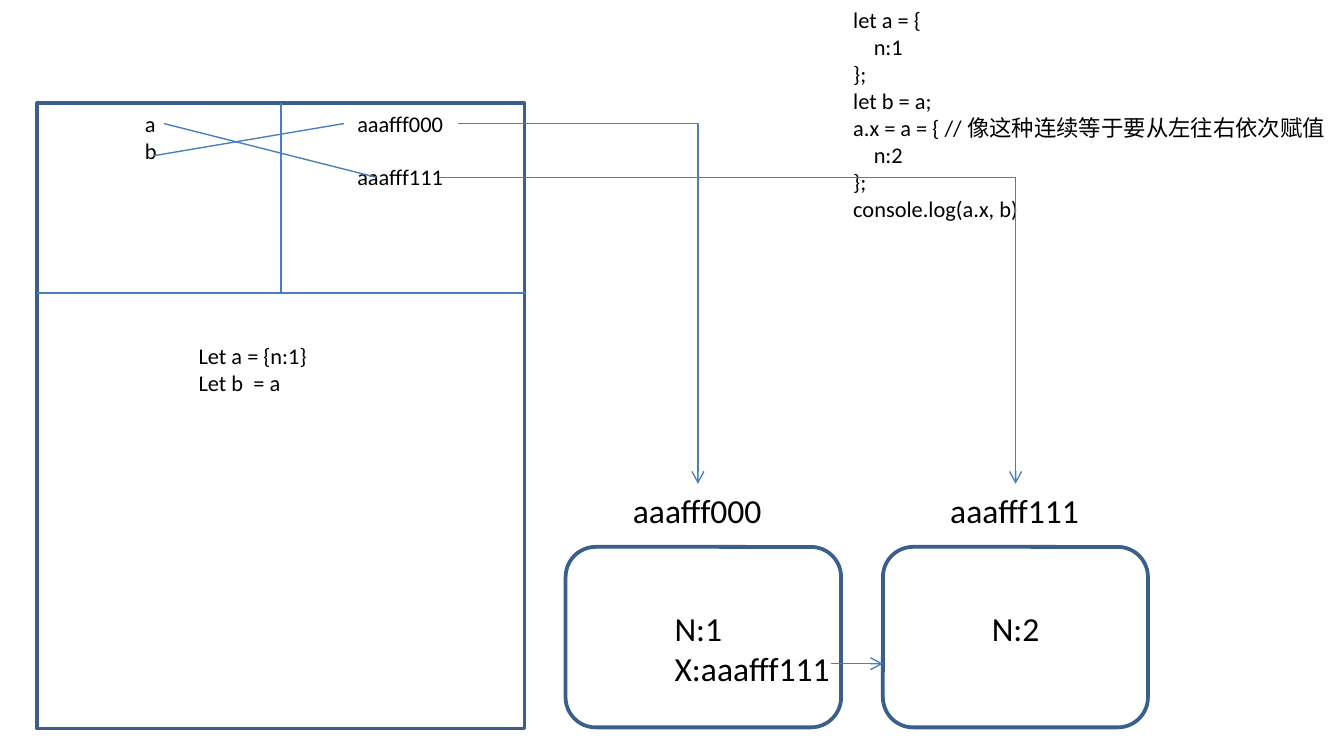
"""Build a slide on how chained assignment moves object references in memory."""
from lxml import etree
from pptx import Presentation
from pptx.dml.color import RGBColor
from pptx.enum.shapes import MSO_CONNECTOR, MSO_SHAPE
from pptx.enum.text import MSO_AUTO_SIZE
from pptx.oxml.ns import qn
from pptx.util import Pt

THEME = {
    "font": "Calibri",
    "text": RGBColor(0x00, 0x00, 0x00),
    "fill": RGBColor(0xFF, 0xFF, 0xFF),
    "outline": RGBColor(0x3A, 0x5F, 0x8C),
    "link": RGBColor(0x4B, 0x7E, 0xBC),
    "outline_width": 2,
    "link_width": 0.75,
    "small": 12,
    "large": 18,
    "code_indent": 11,
}

prs = Presentation()
prs.slide_width, prs.slide_height = Pt(720), Pt(405)
slide = prs.slides.add_slide(prs.slide_layouts[6])


def add_label(left, top, width, height, size, lines):
    box = slide.shapes.add_textbox(Pt(left), Pt(top), Pt(width), Pt(height))
    frame = box.text_frame
    frame.word_wrap = False
    frame.auto_size = MSO_AUTO_SIZE.SHAPE_TO_FIT_TEXT
    for index, line in enumerate(lines):
        paragraph = frame.paragraphs[0] if index == 0 else frame.add_paragraph()
        if line.startswith("n:"):
            paragraph._p.get_or_add_pPr().set("marL", str(Pt(THEME["code_indent"])))
        run = paragraph.add_run()
        run.text = line
        run.font.name = THEME["font"]
        run.font.size = Pt(THEME[size])
        run.font.color.rgb = THEME["text"]


def add_link(start, end, bent=False, arrow=False):
    kind = MSO_CONNECTOR.ELBOW if bent else MSO_CONNECTOR.STRAIGHT
    link = slide.shapes.add_connector(kind, *(Pt(v) for v in (*start, *end)))
    link.line.color.rgb = THEME["link"]
    link.line.width = Pt(THEME["link_width"])
    properties = link._element.spPr
    if bent:
        properties.find(qn("a:prstGeom")).set("prst", "bentConnector2")
    if arrow:
        etree.SubElement(properties.find(qn("a:ln")), qn("a:tailEnd"), type="arrow")
    etree.SubElement(properties, qn("a:effectLst"))


add_label(450, 0, 270, 124, "small", [
    "let a = {",
    "n:1",
    "};",
    "let b = a;",
    "a.x = a = { // 像这种连续等于要从左往右依次赋值",
    "n:2",
    "};",
    "console.log(a.x, b)",
])

stack_left, stack_top, stack_width, stack_height = 20, 55.3, 261, 335
stack_right = stack_left + stack_width
stack_middle = stack_left + stack_width / 2
divider_y = 157
heap_top, heap_height = 293, 96.7

for preset, left, top, width, height in [
    (MSO_SHAPE.RECTANGLE, stack_left, stack_top, stack_width, stack_height),
    (MSO_SHAPE.ROUNDED_RECTANGLE, 303, heap_top, 147.6, heap_height),
    (MSO_SHAPE.ROUNDED_RECTANGLE, 473, heap_top, 142, heap_height),
]:
    block = slide.shapes.add_shape(preset, Pt(left), Pt(top), Pt(width), Pt(height))
    block.shadow.inherit = False
    block.fill.solid()
    block.fill.fore_color.rgb = THEME["fill"]
    block.line.color.rgb = THEME["outline"]
    block.line.width = Pt(THEME["outline_width"])

add_link((stack_left, divider_y), (stack_right, divider_y))
add_link((stack_middle, stack_top), (stack_middle, divider_y))

add_label(70.6, stack_top, 21.6, 36, "small", ["a", "b"])
add_label(99.3, 180, 73.4, 36, "small", ["Let a = {n:1}", "Let b  = a"])

for address, stack_y, heap_left, content_width, content in [
    ("aaafff000", stack_top, 332, 98.6, ["N:1", "X:aaafff111"]),
    ("aaafff111", 83.7, 502, 40.3, ["N:2"]),
]:
    add_label(184.3, stack_y, 61.2, 21.6, "small", [address])
    add_label(heap_left, 259.2, 84.2, 28.8, "large", [address])
    add_label(heap_left + 22.3, 322, content_width, 28.8 * len(content), "large", content)

add_link((201.6, 95), (87.8, 66.2))
add_link((184.3, 66.2), (82, 83.5))
add_link((245.5, 66.2), (373.9, 259.2), bent=True, arrow=True)
add_link((235.4, 95), (544.1, 259.2), bent=True, arrow=True)
add_link((445, 355.6), (473, 355.6), arrow=True)

prs.save("out.pptx")
